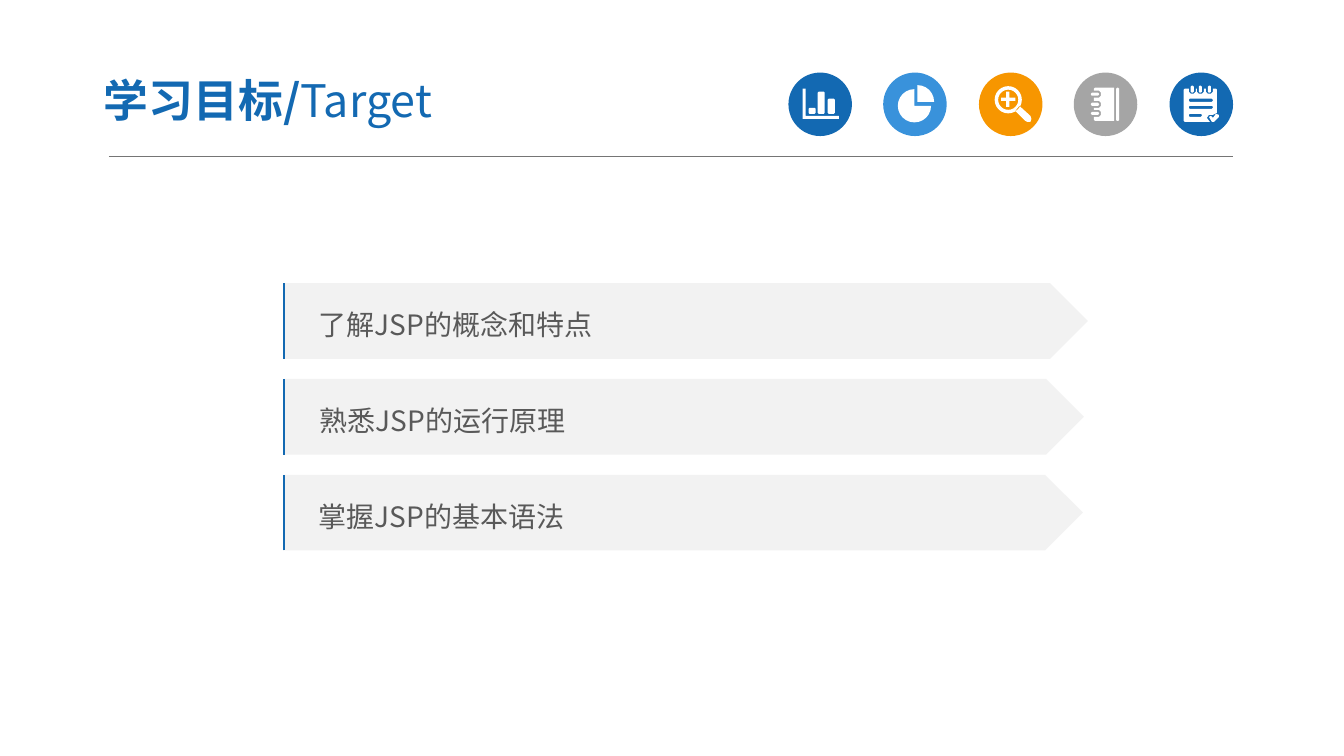
from math import cos, radians, sin

from lxml.etree import SubElement
from pptx import Presentation
from pptx.dml.color import RGBColor
from pptx.enum.shapes import MSO_CONNECTOR, MSO_SHAPE
from pptx.enum.text import MSO_ANCHOR, PP_ALIGN
from pptx.oxml.ns import qn
from pptx.util import Emu, Pt

PX = 9144
FONT = "Noto Sans CJK SC"
BLUE = RGBColor(0x13, 0x69, 0xB2)
LIGHT_BLUE = RGBColor(0x39, 0x92, 0xDB)
ORANGE = RGBColor(0xF7, 0x96, 0x00)
GRAY = RGBColor(0xA5, 0xA5, 0xA5)
RULE_GRAY = RGBColor(0x75, 0x75, 0x75)
PALE = RGBColor(0xF2, 0xF2, 0xF2)
TEXT_GRAY = RGBColor(0x59, 0x59, 0x59)
WHITE = RGBColor(0xFF, 0xFF, 0xFF)
GOALS = [
    ("了解JSP的概念和特点", 281, 798),
    ("熟悉JSP的运行原理", 282, 793),
    ("掌握JSP的基本语法", 281, 793),
]


def px(length):
    return Emu(length * PX)


def add_filled(slide, kind, left, top, width, height, color):
    shape = slide.shapes.add_shape(kind, px(left), px(top), px(width), px(height))
    shape.shadow.inherit = False
    shape.fill.solid()
    shape.fill.fore_color.rgb = color
    shape.line.fill.background()
    return shape


def format_run(run, size, color, bold=False):
    run.font.name = FONT
    run.font.size = Pt(size)
    run.font.bold = bold
    run.font.color.rgb = color
    SubElement(run._r.get_or_add_rPr(), qn("a:ea")).set("typeface", FONT)


def pill(left, top, width, height):
    right, bottom = left + width, top + height
    return [
        (left + 1, top), (right - 1, top), (right, top + 1), (right, bottom - 1),
        (right - 1, bottom), (left + 1, bottom), (left, bottom - 1), (left, top + 1),
    ]


def arc(center_x, center_y, radius, start=0, end=360):
    return [
        (center_x + radius * cos(radians(angle)), center_y + radius * sin(radians(angle)))
        for angle in range(start, end + 1, 15)
    ]


def bar_chart_outlines():
    axes = [(14, 16), (17, 16), (17, 43), (50, 43), (50, 46), (14, 46)]
    bars = [pill(x, 41 - height, 7, height) for x, height in ((20, 6), (29, 22), (39, 15))]
    return [axes, *bars]


def pie_outlines():
    return [
        [(31, 33)] + arc(31, 33, 16.5, 0, 270),
        [(34, 29)] + arc(34, 29, 16.5, 270, 360),
    ]


def magnifier_outlines():
    handle = [(40, 33), (51, 43), (52, 46), (51, 49), (48, 49), (46, 48), (36, 38)]
    plus = [
        (27, 19), (30, 19), (30, 25), (36, 25), (36, 28), (30, 28),
        (30, 34), (27, 34), (27, 28), (22, 28), (22, 25), (27, 25),
    ]
    return [arc(29, 27, 13.5), arc(29, 27, 10), plus, handle]


def notebook_outlines():
    cover = [(21, 15), (40, 15), (40, 48), (21, 48), (20, 47)]
    for y in (37, 28, 18):
        cover += [(20, y + 7), (25, y + 7), (27, y + 5), (27, y + 2), (25, y), (20, y)]
    cover.append((20, 16))
    rings = [pill(17, y, 8, 3) for y in (20, 30, 39)]
    return [cover, pill(42, 15, 3, 33), *rings]


def notepad_outlines():
    page = [(15, 16)]
    for x in (19, 27, 36):
        page += [(x, 16), (x, 19), (x + 2, 21), (x + 5, 21), (x + 7, 19), (x + 7, 16)]
    page += [(46, 16), (47, 17), (47, 40), (43, 42), (39, 42), (37, 45), (40, 49)]
    page += [(15, 49), (14, 48), (14, 17)]
    loops = [pill(x, 13, 3, 7) for x in (21, 29, 38)]
    lines = [pill(19, y, width, 3) for y, width in ((26, 24), (33, 24), (41, 13))]
    check = [(39, 44), (41, 43), (43, 45), (46, 41), (49, 42), (49, 44), (44, 49), (42, 49)]
    return [page, *loops, *lines, check]


def add_outlines(slide, left, top, outlines):
    contours = [[((left + x) * PX, (top + y) * PX) for x, y in outline] for outline in outlines]
    builder = slide.shapes.build_freeform(*contours[0][0])
    builder.add_line_segments(contours[0][1:])
    for contour in contours[1:]:
        builder.move_to(*contour[0])
        builder.add_line_segments(contour[1:])
    shape = builder.convert_to_shape()
    shape.shadow.inherit = False
    shape.fill.solid()
    shape.fill.fore_color.rgb = WHITE
    shape.line.fill.background()


def add_icons(slide, left, top, size):
    icons = [
        (bar_chart_outlines, BLUE),
        (pie_outlines, LIGHT_BLUE),
        (magnifier_outlines, ORANGE),
        (notebook_outlines, GRAY),
        (notepad_outlines, BLUE),
    ]
    for index, (outlines, color) in enumerate(icons):
        icon_left = left + index * 3 * size // 2
        add_filled(slide, MSO_SHAPE.OVAL, icon_left, top, size, size, color)
        add_outlines(slide, icon_left, top, outlines())


def add_divider(slide, left, top, width):
    line = slide.shapes.add_connector(
        MSO_CONNECTOR.STRAIGHT, px(left), px(top), px(left + width), px(top)
    )
    line.line.color.rgb = RULE_GRAY
    line.line.width = Pt(0.5)
    SubElement(line._element.spPr, qn("a:effectLst"))


def add_title(slide, left, top, width, height):
    box = slide.shapes.add_textbox(px(left), px(top), px(width), px(height))
    frame = box.text_frame
    frame.word_wrap = True
    frame.vertical_anchor = MSO_ANCHOR.MIDDLE
    frame.margin_left = frame.margin_right = px(14)
    frame.margin_top = frame.margin_bottom = px(7)
    paragraph = frame.paragraphs[0]
    for text, bold in (("学习目标/", True), ("Target", False)):
        run = paragraph.add_run()
        run.text = text
        format_run(run, 32, BLUE, bold)


def add_accent(slide, left, top, width, height):
    builder = slide.shapes.build_freeform(left, top + height, scale=PX)
    builder.add_line_segments([(left, top)], close=False)
    builder.move_to(left + width, top)
    accent = builder.convert_to_shape()
    accent.shadow.inherit = False
    accent.fill.background()
    accent.line.color.rgb = BLUE
    accent.line.width = Pt(1.5)


def add_goal(slide, left, top, width, height, text):
    plate = add_filled(slide, MSO_SHAPE.PENTAGON, left, top, width, height, PALE)
    frame = plate.text_frame
    frame.text = text
    frame.word_wrap = True
    frame.vertical_anchor = MSO_ANCHOR.MIDDLE
    frame.margin_left = px(35)
    paragraph = frame.paragraphs[0]
    paragraph.alignment = PP_ALIGN.LEFT
    paragraph.line_spacing = 1.2
    format_run(paragraph.runs[0], 20, TEXT_GRAY)


def add_goals(slide, top, height, pitch):
    for index, (text, left, width) in enumerate(GOALS):
        goal_top = top + index * pitch
        add_goal(slide, left, goal_top, width, height, text)
        add_accent(slide, 282, goal_top, 12, height)


def main():
    presentation = Presentation()
    presentation.slide_width = px(1333)
    presentation.slide_height = px(750)
    slide = presentation.slides.add_slide(presentation.slide_layouts[6])
    add_divider(slide, 108, 155, 1115)
    add_icons(slide, 782, 72, 63)
    add_title(slide, 89, 63, 522, 72)
    add_goals(slide, 281, 75, 95)
    presentation.save("out.pptx")


if __name__ == "__main__":
    main()
